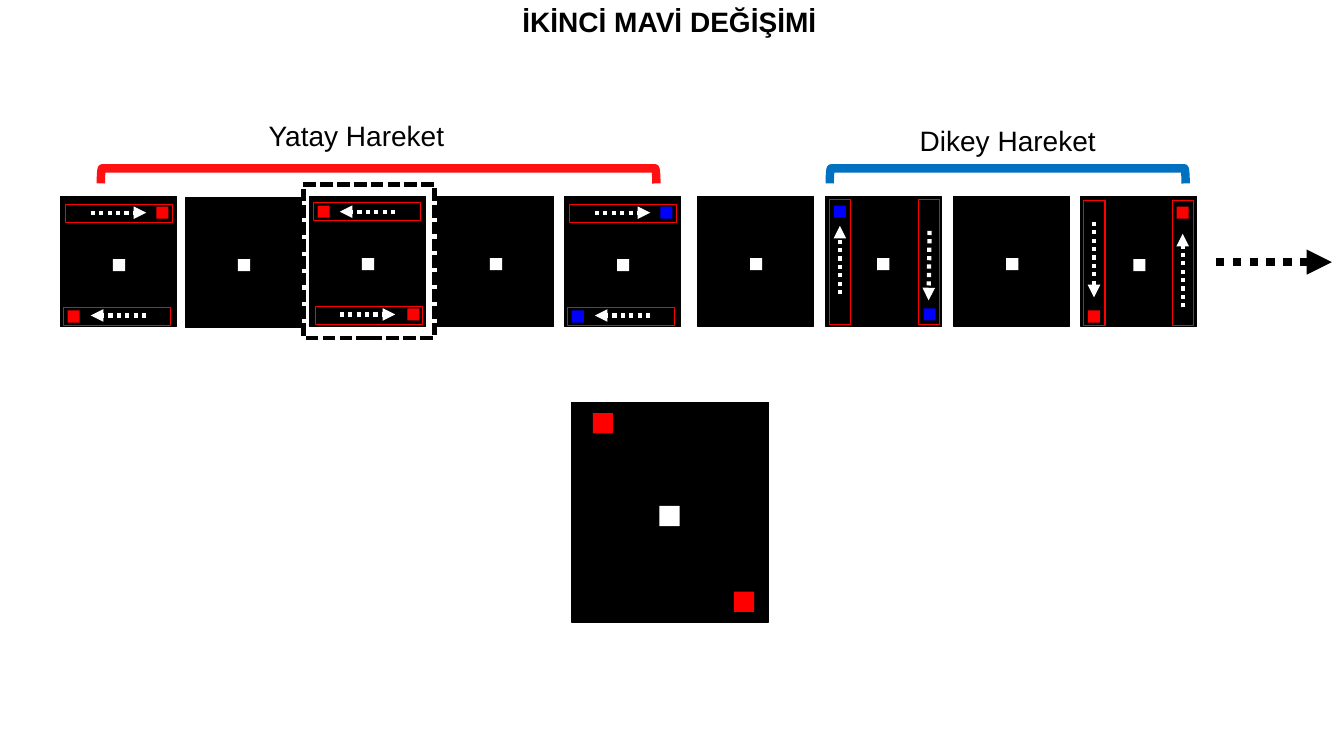
from pptx import Presentation
from pptx.dml.color import RGBColor as RGB
from pptx.enum.dml import MSO_LINE as DASH
from pptx.enum.shapes import MSO_CONNECTOR as CONN, MSO_SHAPE as SHAPE
from pptx.enum.text import MSO_ANCHOR as ANCHOR, MSO_AUTO_SIZE as FIT, PP_ALIGN as ALIGN
from pptx.oxml.ns import qn
from pptx.util import Pt
from lxml import etree

PX = 9144  # 100 px to the inch
COLORS = {
    "black": "000000", "white": "FFFFFF", "red": "FF0000",
    "blue": "0000FF", "across": "FF1111", "down": "0070C0",
}

# Lengths inside a panel, measured from its top left corner
PANEL = (115, 129)
DOT = 12
RISE = [(7, 113), (95, 10)]
FALL = [(8, 9), (97, 111)]
WIDE, TALL = (106, 18), (21, 124)

# Each motion: dots, track size, track corners, arrows, centre dot
MOTIONS = {
    "out": (RISE, WIDE, [(5, 8), (3, 110)],
            [(30, 16, 85, 16), (85, 118, 30, 118)], (52, 62)),
    "back": (FALL, WIDE, [(4, 6), (6, 109)],
             [(85, 15, 30, 15), (30, 117, 85, 117)], (52, 61)),
    "part": (FALL, TALL, [(4, 3), (92, 3)],
             [(14, 97, 14, 29), (103, 34, 102, 103)], (51, 61)),
    "meet": (RISE, TALL, [(3, 4), (91, 4)],
             [(13, 25, 13, 100), (101, 110, 101, 37)], (52, 62)),
    "blank": ([], WIDE, [], [], (52, 61)),
}

# Panels along the time line: left, top, motion, dot colour
PANELS = [
    (60, 195, "out", "red"), (184, 196, "blank", None),
    (307, 195, "back", "red"), (434, 195, "blank", None),
    (560, 195, "out", "blue"), (692, 195, "blank", None),
    (819, 195, "part", "blue"), (946, 195, "blank", None),
    (1072, 195, "meet", "red"),
]


def rgb(name):
    return RGB.from_string(COLORS[name])


def px(*nums):
    return [round(n * PX) for n in nums]


def stroke(line, color, width, dash=None):
    line.color.rgb = rgb(color)
    line.width = Pt(width)
    if dash:
        line.dash_style = dash


def box(shapes, x, y, w, h, fill=None, edge=None, width=1, dash=None,
        kind=SHAPE.RECTANGLE):
    shape = shapes.add_shape(kind, *px(x, y, w, h))
    shape.shadow.inherit = False
    if fill:
        shape.fill.solid()
        shape.fill.fore_color.rgb = rgb(fill)
    else:
        shape.fill.background()
    if edge:
        stroke(shape.line, edge, width, dash)
    else:
        shape.line.fill.background()
    return shape


def arrow(shapes, x1, y1, x2, y2, color, width):
    link = shapes.add_connector(CONN.STRAIGHT, *px(x1, y1, x2, y2))
    stroke(link.line, color, width, DASH.ROUND_DOT)
    props = link._element.spPr
    etree.SubElement(props.find(qn("a:ln")), qn("a:tailEnd"), type="triangle")
    etree.SubElement(props, qn("a:effectLst"))


def bracket(shapes, x, y, w, h, color):
    # A right bracket turned a quarter, so its own box is h wide and w tall
    shape = box(shapes, x + (w - h) / 2, y + (h - w) / 2, h, w,
                edge=color, width=6, kind=SHAPE.RIGHT_BRACKET)
    shape.rotation = 270


def write(shape, x, y, w, h, text, bold=False):
    shape.left, shape.top, shape.width, shape.height = px(x, y, w, h)
    frame = shape.text_frame
    frame.word_wrap = True
    frame.auto_size = FIT.NONE
    frame.vertical_anchor = ANCHOR.MIDDLE
    para = frame.paragraphs[0]
    para.alignment = ALIGN.CENTER
    run = para.add_run()
    run.text = text
    font = run.font
    font.name, font.size, font.bold = "Arial", Pt(20), bold
    font.color.rgb = rgb("black")


def label(shapes, x, y, w, h, text):
    write(shapes.add_textbox(*px(x, y, w, h)), x, y, w, h, text)


def panel(shapes, left, top, motion, color):
    dots, size, tracks, arrows, mid = MOTIONS[motion]
    group = shapes.add_group_shape().shapes
    box(group, left, top, *PANEL, fill="black", edge="black")
    box(group, left + mid[0], top + mid[1], DOT, DOT, fill="white")
    for x, y in dots:
        box(group, left + x, top + y, DOT, DOT, fill=color)
    for x, y in tracks:
        box(group, left + x, top + y, *size, edge="red", width=0.75)
    for x1, y1, x2, y2 in arrows:
        arrow(group, left + x1, top + y1, left + x2, top + y2, "white", 3)


def zoom(shapes):
    group = shapes.add_group_shape().shapes
    box(group, 567, 399, 195, 218, fill="black", edge="black")
    for x, y, color in [(654, 502, "white"), (588, 410, "red"), (728, 587, "red")]:
        box(group, x, y, 20, 20, fill=color)


def main():
    deck = Presentation()
    deck.slide_width, deck.slide_height = px(1333, 750)
    slide = deck.slides.add_slide(deck.slide_layouts[5])
    shapes = slide.shapes

    # Title
    write(shapes.title, 436, 0, 456, 43, "İKİNCİ MAVİ DEĞİŞİMİ", bold=True)

    # Phase labels and brackets
    label(shapes, 231, 117, 245, 35, "Yatay Hareket")
    bracket(shapes, 100, 167, 551, 15, "across")
    label(shapes, 877, 122, 245, 35, "Dikey Hareket")
    bracket(shapes, 823, 167, 353, 15, "down")

    # Time line with the chosen panel framed
    for item in PANELS:
        panel(shapes, *item)
    box(shapes, 301, 183, 130, 152, edge="black", width=3, dash=DASH.SQUARE_DOT)
    arrow(shapes, 1206, 260, 1321, 260, "black", 6)

    # Enlarged panel
    zoom(shapes)

    deck.save("out.pptx")


if __name__ == "__main__":
    main()
